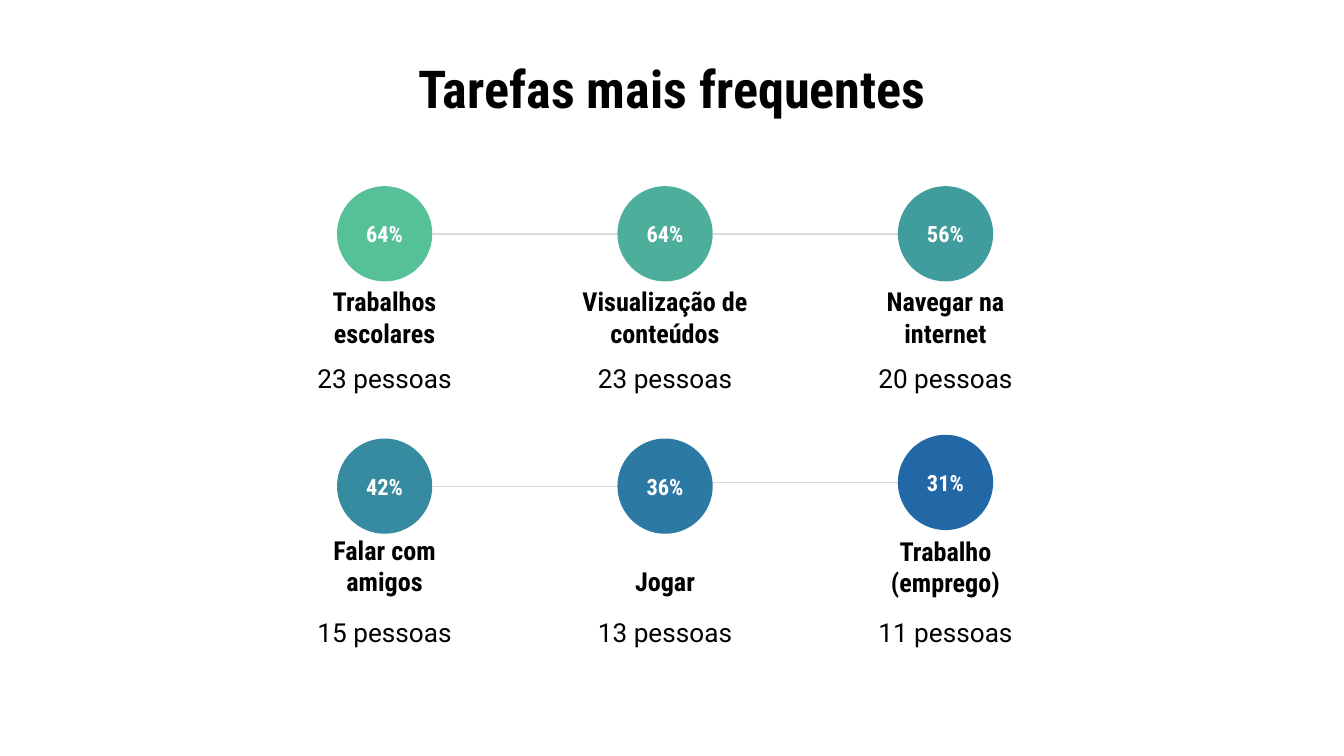
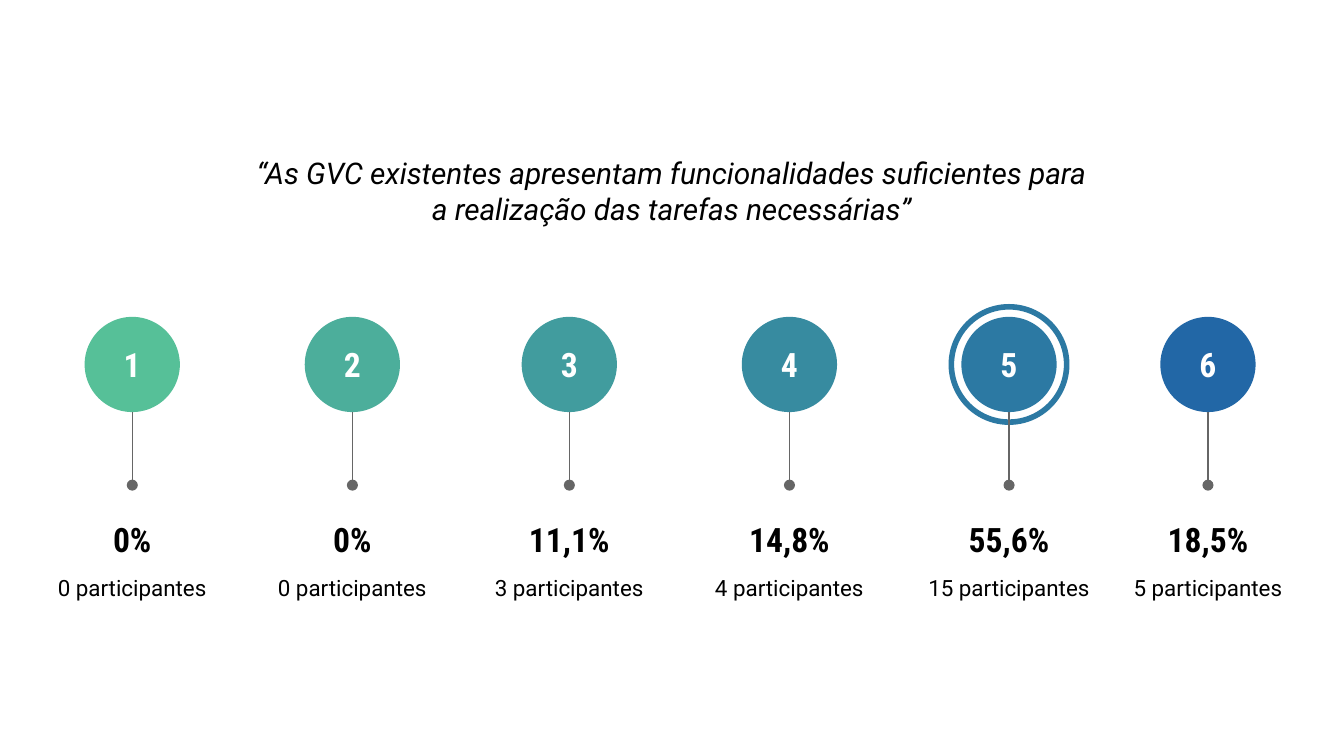
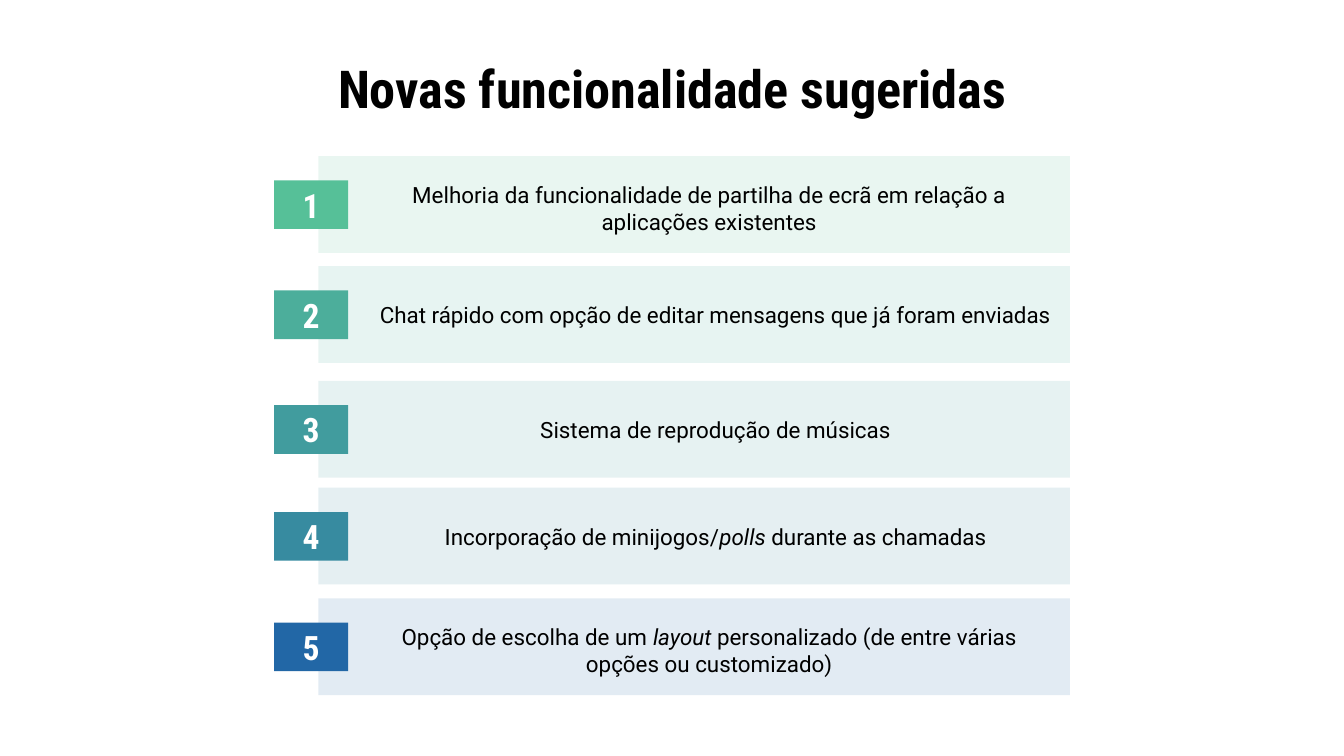
from lxml import etree
from pptx import Presentation
from pptx.dml.color import RGBColor
from pptx.enum.shapes import MSO_CONNECTOR, MSO_SHAPE
from pptx.enum.text import MSO_ANCHOR, PP_ALIGN
from pptx.oxml.ns import qn
from pptx.util import Cm, Pt

OVAL, RECT = MSO_SHAPE.OVAL, MSO_SHAPE.RECTANGLE
STRAIGHT = MSO_CONNECTOR.STRAIGHT
TOP, MIDDLE = MSO_ANCHOR.TOP, MSO_ANCHOR.MIDDLE
CENTER = PP_ALIGN.CENTER

BODY, HEAD = "Roboto", "Roboto Condensed"
BLACK, WHITE, GRAY, PALE = "000000", "FFFFFF", "666666", "D9D9D9"
GREEN, MINT, TEAL, SEA, STEEL, BLUE = SCALE = (
    "56C098", "4CAE9B", "419C9E", "378BA0", "2C79A3", "2267A6")
CIRCLE = 1.8  # diameter in cm


def rgb(value):
    return RGBColor.from_string(value)


class Deck:
    """Style and current slide; all positions are in centimetres."""

    def __init__(self):
        self.prs = Presentation()
        self.prs.slide_width, self.prs.slide_height = Cm(25.4), Cm(14.29)
        self.s = None

    def new_slide(self):
        self.s = self.prs.slides.add_slide(self.prs.slide_layouts[6])

    def fill_text(self, sp, runs, size, font, color=BLACK, bold=False,
                  italic=False, anchor=MIDDLE):
        """Fill a shape with one centred paragraph of (text, italic) runs."""
        tf = sp.text_frame
        tf.word_wrap = True
        tf.vertical_anchor = anchor
        tf.margin_left = tf.margin_right = Cm(0.25)
        tf.margin_top = tf.margin_bottom = Cm(0.25)
        p = tf.paragraphs[0]
        p.alignment = CENTER
        for text, slanted in [(runs, italic)] if isinstance(runs, str) else runs:
            r = p.add_run()
            r.text = text
            r.font.name, r.font.size = font, Pt(size)
            r.font.bold, r.font.italic = bold, slanted
            r.font.color.rgb = rgb(color)

    def text(self, x, y, w, h, runs, size, font=BODY, **style):
        sp = self.s.shapes.add_textbox(Cm(x), Cm(y), Cm(w), Cm(h))
        self.fill_text(sp, runs, size, font, **style)

    def centred(self, cx, y, w, h, runs, size, font=BODY, **style):
        self.text(cx - w / 2, y, w, h, runs, size, font, **style)

    def title(self, text):
        self.text(1.27, 1.14, 22.86, 1.04, text, 28, HEAD, bold=True)

    def shape(self, kind, x, y, w, h, fill=None, alpha=None, line=None):
        sp = self.s.shapes.add_shape(kind, Cm(x), Cm(y), Cm(w), Cm(h))
        sp.shadow.inherit = False
        if fill:
            sp.fill.solid()
            sp.fill.fore_color.rgb = rgb(fill)
        else:
            sp.fill.background()
        if alpha:
            clr = sp._element.spPr.find(qn("a:solidFill"))[0]
            etree.SubElement(clr, qn("a:alpha"), val=str(alpha * 1000))
        if line:
            sp.line.color.rgb, sp.line.width = rgb(line), Pt(3)
        else:
            sp.line.fill.background()
        return sp

    def circle(self, cx, cy, fill, label, size):
        sp = self.shape(OVAL, cx - CIRCLE / 2, cy - CIRCLE / 2,
                        CIRCLE, CIRCLE, fill)
        self.fill_text(sp, label, size, HEAD, WHITE, bold=True)

    def ring(self, cx, cy, d, color):
        self.shape(OVAL, cx - d / 2, cy - d / 2, d, d, line=color)

    def badge(self, x, y, fill, label):
        sp = self.shape(RECT, x, y, 1.4, 0.92, fill)
        self.fill_text(sp, label, 18, HEAD, WHITE, bold=True)

    def line(self, x1, y1, x2, y2, color, dot=False):
        c = self.s.shapes.add_connector(STRAIGHT, Cm(x1), Cm(y1), Cm(x2), Cm(y2))
        c.line.color.rgb, c.line.width = rgb(color), Pt(0.75)
        spPr = c._element.spPr
        if dot:
            etree.SubElement(spPr.find(qn("a:ln")), qn("a:tailEnd"), type="oval")
        etree.SubElement(spPr, qn("a:effectLst"))


def frequent_tasks(d):
    d.new_slide()
    d.title("Tarefas mais frequentes")
    first, pitch = 7.27, 5.3
    # Per row: top of the counts, then (share, task, count, circle y, task y)
    rows = [
        (6.15, [("64%", "Trabalhos escolares", 23, 4.42, 5.54),
                ("64%", "Visualização de conteúdos", 23, 4.42, 5.54),
                ("56%", "Navegar na internet", 20, 4.42, 5.54)]),
        (10.95, [("42%", "Falar com amigos", 15, 9.19, 10.24),
                 ("36%", "Jogar", 13, 9.19, 10.52),
                 ("31%", "Trabalho (emprego)", 11, 9.12, 10.26)]),
    ]
    colors = iter(SCALE)
    for count_y, tasks in rows:
        for i, (share, task, count, cy, task_y) in enumerate(tasks):
            cx = first + i * pitch
            if i:
                d.line(cx - pitch + CIRCLE / 2, cy, cx - CIRCLE / 2, cy, PALE)
            width = 4.55 if len(task) > 20 else 3.91
            d.centred(cx, task_y, width, 0.91, task, 14, HEAD, bold=True)
            d.centred(cx, count_y, 3.91, 2, f"{count} pessoas", 14)
            d.circle(cx, cy, next(colors), share, 12)


def agreement_scale(d):
    d.new_slide()
    d.text(4.39, 2.18, 16.61, 2.84,
           "“As GVC existentes apresentam funcionalidades suficientes para "
           "a realização das tarefas necessárias”", 16, italic=True)
    # Circle centre, share, participants
    levels = [(2.5, "0%", 0), (6.66, "0%", 0), (10.76, "11,1%", 3),
              (14.92, "14,8%", 4), (19.07, "55,6%", 15), (22.83, "18,5%", 5)]
    cy = 6.89
    most = max(count for _, _, count in levels)
    for i, ((cx, share, count), color) in enumerate(zip(levels, SCALE), 1):
        if count == most:
            d.ring(cx, cy, 2.18, color)
        d.centred(cx, 9.73, 3.94, 0.91, share, 18, HEAD, bold=True)
        d.centred(cx, 10.11, 3.94, 2, f"{count} participantes", 12)
        d.circle(cx, cy, color, str(i), 18)
        d.line(cx, cy + CIRCLE / 2, cx, 9.17, GRAY, dot=True)


def suggested_features(d):
    d.new_slide()
    d.title("Novas funcionalidade sugeridas")
    # Band top, colour, whether the text takes two lines, text
    features = [
        (2.95, GREEN, True, "Melhoria da funcionalidade de partilha de ecrã "
                            "em relação a aplicações existentes"),
        (5.03, MINT, False, "Chat rápido com opção de editar mensagens que "
                            "já foram enviadas"),
        (7.2, TEAL, False, "Sistema de reprodução de músicas"),
        (9.22, SEA, False, [("Incorporação de minijogos/", False),
                            ("polls ", True),
                            ("durante as chamadas", False)]),
        (11.31, BLUE, True, [("Opção de escolha de um ", False),
                             ("layout", True),
                             (" personalizado (de entre várias opções "
                              "ou customizado)", False)]),
    ]
    for i, (y, color, two_lines, runs) in enumerate(features, 1):
        d.shape(RECT, 6.02, y, 14.2, 1.83, color, alpha=13)
        d.badge(5.18, y + 0.46, color, str(i))
        x, dy, w = (6.6, 0.22, 13.61) if two_lines else (6.86, 0.41, 13.33)
        d.text(x, y + dy, w, 1.42, runs, 12, anchor=TOP)


def main():
    d = Deck()
    frequent_tasks(d)
    agreement_scale(d)
    suggested_features(d)
    d.prs.save("out.pptx")


if __name__ == "__main__":
    main()
